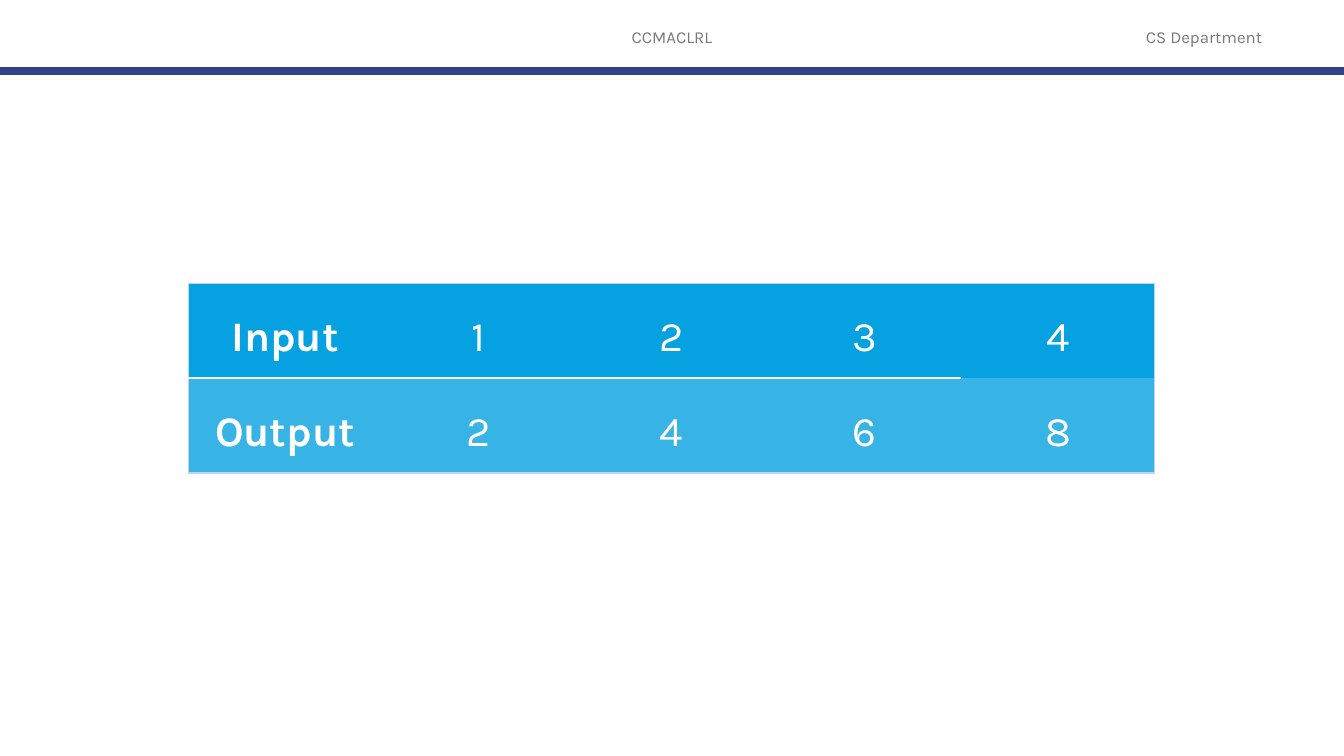
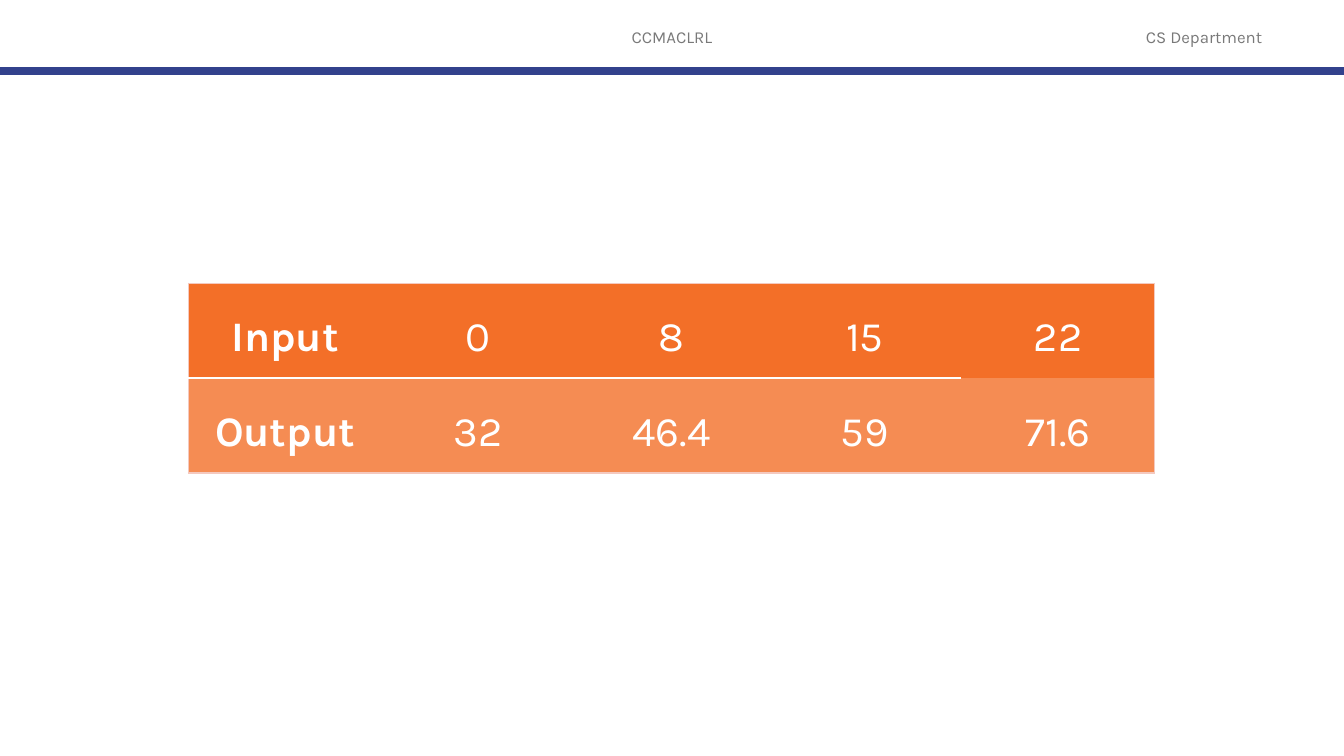
"""Builds two slides, each with a table of inputs and outputs."""
from pptx import Presentation, util as u
from pptx.dml.color import RGBColor
from pptx.enum import shapes, text
from pptx.oxml.xmlchemy import OxmlElement

WHITE = RGBColor(0xFF, 0xFF, 0xFF)
GREY = RGBColor(0x79, 0x79, 0x79)
NAVY = RGBColor(0x32, 0x41, 0x8C)
BLUE = RGBColor(0x05, 0xA1, 0xE0)
LIGHT_BLUE = RGBColor(0x38, 0xB3, 0xE6)
PALE_BLUE = RGBColor(0xBD, 0xD6, 0xEB)
ORANGE = RGBColor(0xF3, 0x6F, 0x28)
LIGHT_ORANGE = RGBColor(0xF5, 0x8C, 0x53)
PALE_ORANGE = RGBColor(0xF4, 0xC9, 0xBF)


class Deck:
    def __init__(self):
        self.font = "Karla"
        self.prs = Presentation()
        self.prs.slide_width = u.Cm(33.87)
        self.prs.slide_height = u.Cm(19.05)
        self.slide = None

    def new_slide(self):
        self.slide = self.prs.slides.add_slide(self.prs.slide_layouts[6])
        self.label("CCMACLRL", 11.22, 11.43)
        self.label("CS Department", 27.74, 5.21)
        self.header_rule()

    def centred_text(self, frame, words, size, color, bold=False):
        frame.text = words
        paragraph = frame.paragraphs[0]
        paragraph.alignment = text.PP_ALIGN.CENTER
        font = paragraph.runs[0].font
        font.name = self.font
        font.size = u.Pt(size)
        font.bold = bold
        font.color.rgb = color
        return paragraph

    def label(self, words, left, width):
        box = self.slide.shapes.add_textbox(u.Cm(left), u.Cm(0.43), u.Cm(width), u.Cm(1.02))
        frame = box.text_frame
        frame.word_wrap = True
        frame.vertical_anchor = text.MSO_ANCHOR.MIDDLE
        self.centred_text(frame, words, 12, GREY)

    def header_rule(self):
        rule = self.slide.shapes.add_connector(
            shapes.MSO_CONNECTOR.STRAIGHT, 0, u.Cm(1.79), self.prs.slide_width, u.Cm(1.79))
        rule.line.color.rgb = NAVY
        rule.line.width = u.Pt(6)
        rule._element.spPr.append(OxmlElement("a:effectLst"))

    def border(self, cell, side, line):
        edge = OxmlElement(f"a:ln{side}")
        cell._tc.get_or_add_tcPr().append(edge)
        if line is None:
            edge.append(OxmlElement("a:noFill"))
            return
        color, points = line
        edge.set("w", str(u.Pt(points)))
        fill = OxmlElement("a:solidFill")
        tint = OxmlElement("a:srgbClr")
        tint.set("val", str(color))
        fill.append(tint)
        edge.append(fill)

    def value_table(self, rows, fills, outline):
        row_count, column_count = len(rows), len(rows[0])
        table = self.slide.shapes.add_table(
            row_count, column_count, u.Cm(4.75), u.Cm(7.14),
            u.Cm(4.87 * column_count), u.Cm(2.39 * row_count)).table
        table.first_row = table.horz_banding = False
        frame_line = (outline, 1)
        for r, (values, fill) in enumerate(zip(rows, fills)):
            for c, value in enumerate(values):
                cell = table.cell(r, c)
                last_column = c == column_count - 1
                divider = None if last_column else (WHITE, 2)
                self.border(cell, "L", frame_line if c == 0 else None)
                self.border(cell, "R", frame_line if last_column else None)
                self.border(cell, "T", frame_line if r == 0 else divider)
                self.border(cell, "B", frame_line if r == row_count - 1 else divider)
                cell.fill.solid()
                cell.fill.fore_color.rgb = fill
                paragraph = self.centred_text(cell.text_frame, value, 30, WHITE, bold=c == 0)
                paragraph.line_spacing = 1.5


def main():
    deck = Deck()
    deck.new_slide()
    deck.value_table(
        [["Input", "1", "2", "3", "4"], ["Output", "2", "4", "6", "8"]],
        [BLUE, LIGHT_BLUE], PALE_BLUE)
    deck.new_slide()
    deck.value_table(
        [["Input", "0", "8", "15", "22"], ["Output", "32", "46.4", "59", "71.6"]],
        [ORANGE, LIGHT_ORANGE], PALE_ORANGE)
    deck.prs.save("out.pptx")


if __name__ == "__main__":
    main()
